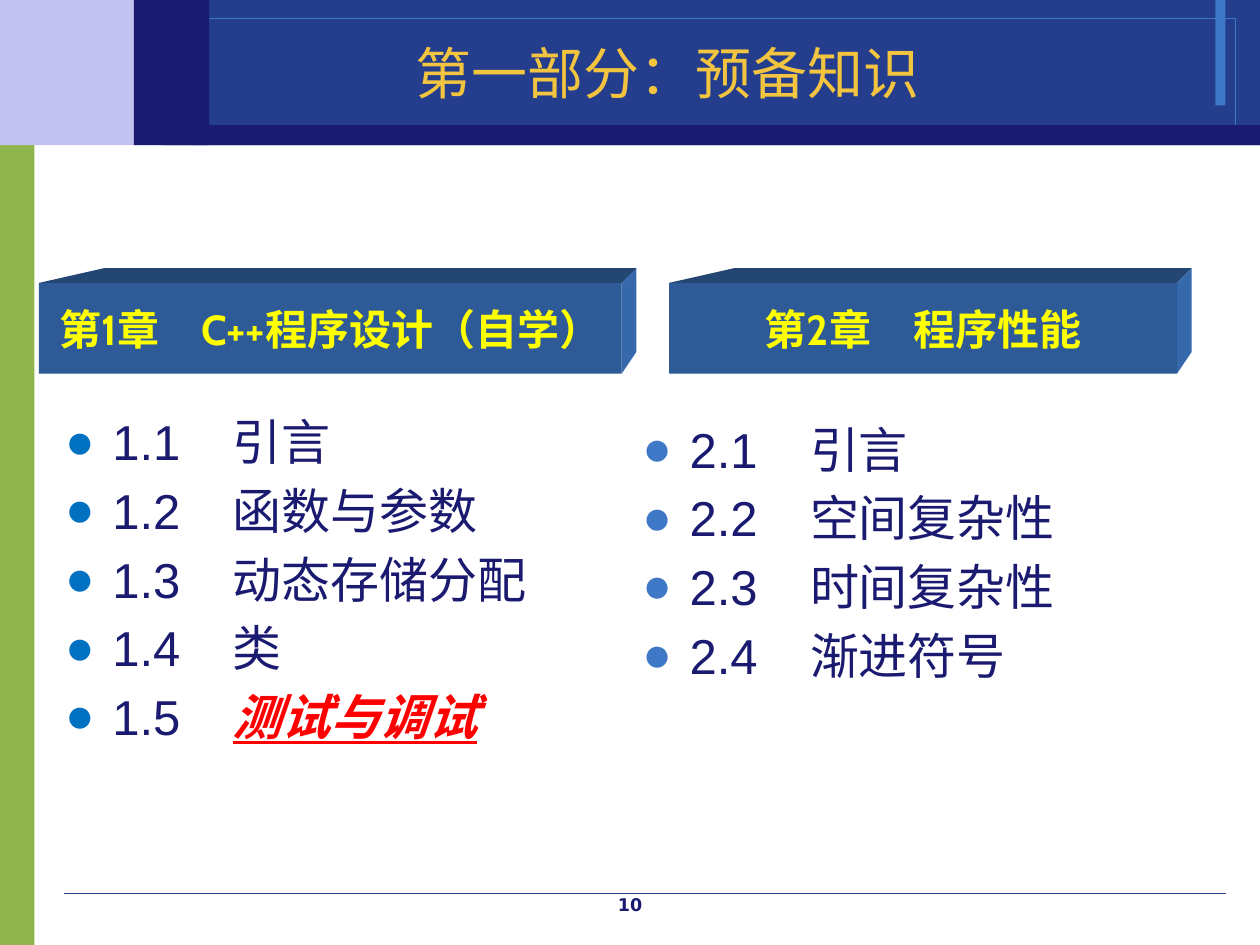
from pptx import Presentation
from pptx.util import Pt
from pptx.dml.color import RGBColor
from pptx.enum.shapes import MSO_SHAPE as Shape, MSO_CONNECTOR as Conn
from pptx.enum.text import PP_ALIGN as Align, MSO_ANCHOR as Anchor
from lxml.etree import SubElement as Sub
from pptx.oxml.ns import qn

NAVY, ROYAL, BLUE = "1A1A70", "243D8C", "3E78C6"


def color(code):
    return RGBColor.from_string(code)


def paint(shape, fill=None, line=None):
    shape.shadow.inherit = False
    if fill:
        shape.fill.solid()
        shape.fill.fore_color.rgb = color(fill)
    else:
        shape.fill.background()
    if line:
        shape.line.color.rgb = color(line)
        shape.line.width = Pt(0.25)
    else:
        shape.line.fill.background()


def add_rect(slide, box, fill=None, line=None):
    rect = slide.shapes.add_shape(Shape.RECTANGLE, *map(Pt, box))
    paint(rect, fill, line)
    return rect


def add_face(slide, points, fill):
    pen = slide.shapes.build_freeform(Pt(points[0][0]), Pt(points[0][1]))
    pen.add_line_segments([(Pt(x), Pt(y)) for x, y in points[1:]])
    paint(pen.convert_to_shape(), fill)


def add_rule(slide, x1, x2, y):
    rule = slide.shapes.add_connector(Conn.STRAIGHT, Pt(x1), Pt(y), Pt(x2), Pt(y))
    rule.line.color.rgb = color(ROYAL)
    rule.line.width = Pt(0.25)
    Sub(rule._element.spPr, qn("a:effectLst"))


def style(font, name, size, code, bold=False):
    font.name, font.size, font.bold = name, Pt(size), bold
    font.color.rgb = color(code)


def add_label(frame, text, name, size, code, bold=False):
    frame.vertical_anchor = Anchor.MIDDLE
    para = frame.paragraphs[0]
    para.text = text
    para.alignment = Align.CENTER
    style(para.font, name, size, code, bold)


def add_text(slide, box):
    frame = slide.shapes.add_textbox(*map(Pt, box)).text_frame
    frame.word_wrap = True
    return frame


def add_bullet(para, code, stop):
    """Hanging bullet, with a tab stop for the topic after the number."""
    props = para._p.get_or_add_pPr()
    props.set("marL", str(Pt(27)))
    props.set("indent", str(-Pt(27)))
    tint = Sub(props, qn("a:buClr"))
    Sub(tint, qn("a:srgbClr"), val=code)
    Sub(props, qn("a:buFont"), typeface="Arial")
    Sub(props, qn("a:buChar"), char="●")
    tabs = Sub(props, qn("a:tabLst"))
    Sub(tabs, qn("a:tab"), pos=str(Pt(stop)), algn="l")
    props.append(props.find(qn("a:defRPr")))


def add_list(slide, box, chapter, topics, dot, key=None):
    frame = add_text(slide, box)
    for i, topic in enumerate(topics):
        para = frame.paragraphs[0] if i == 0 else frame.add_paragraph()
        para.space_before = Pt(5.6)
        style(para.font, "Arial", 28, NAVY)
        add_bullet(para, dot, 95.8)
        para.add_run().text = f"{chapter}.{i + 1}\t"
        run = para.add_run()
        run.text = topic
        if topic == key:
            font = run.font
            font.bold = font.italic = font.underline = True
            font.color.rgb = color("FF0000")


def add_block(slide, x, width, text):
    """Chapter heading on a block with a visible top and right side."""
    top, base, deep = 161.7, 213.5, 8.4
    right, back = x + width, top - deep
    add_face(slide, [(x, top), (x + 37, back), (right + deep, back),
                     (right, top)], "234672")
    add_face(slide, [(right, top), (right + deep, back),
                     (right + deep, base - 12.4), (right, base)], "3668AC")
    front = add_rect(slide, (x, top, width, base - top), "2E5B97")
    front.text_frame.word_wrap = False
    add_label(front.text_frame, text, "Cabin", 24, "FFFF00", True)


def add_frame(slide):
    add_rect(slide, (0, 77, 19.7, 463), "90B54D")
    add_rect(slide, (0, 0, 110, 83), "C3C3F1")
    add_rect(slide, (110, 0, 610, 83), ROYAL)
    add_rect(slide, (694.5, 0, 5.7, 60.2), BLUE)
    add_rect(slide, (85.5, 10.5, 620.5, 61.5), line=BLUE)
    add_rule(slide, 36.7, 700.5, 510.5)
    add_rect(slide, (93.6, 71.5, 626.4, 11.5), NAVY)
    add_rect(slide, (76.5, 0, 43, 83), NAVY)


def main():
    deck = Presentation()
    deck.slide_width, deck.slide_height = Pt(720), Pt(540)
    slide = deck.slides.add_slide(deck.slide_layouts[6])

    # Bands, title and page number
    add_frame(slide)
    add_label(add_text(slide, (85.5, 18.7, 592.5, 44.6)),
              "第一部分：预备知识", "DejaVu Sans", 32, "F3C43F")
    add_label(add_text(slide, (276, 508, 168, 18)),
              "10", "DejaVu Sans", 10, NAVY, True)

    # Topics of both chapters
    add_list(slide, (30.2, 231.8, 424, 240.5), 1,
             ["引言", "函数与参数", "动态存储分配", "类", "测试与调试"],
             "0070C0", key="测试与调试")
    add_list(slide, (360, 236, 345.6, 232.5), 2,
             ["引言", "空间复杂性", "时间复杂性", "渐进符号"], BLUE)

    # Chapter headings
    add_block(slide, 22.3, 333, "第1章　C++程序设计（自学）")
    add_block(slide, 382.3, 290.3, "第2章　程序性能")

    deck.save("out.pptx")


if __name__ == "__main__":
    main()
